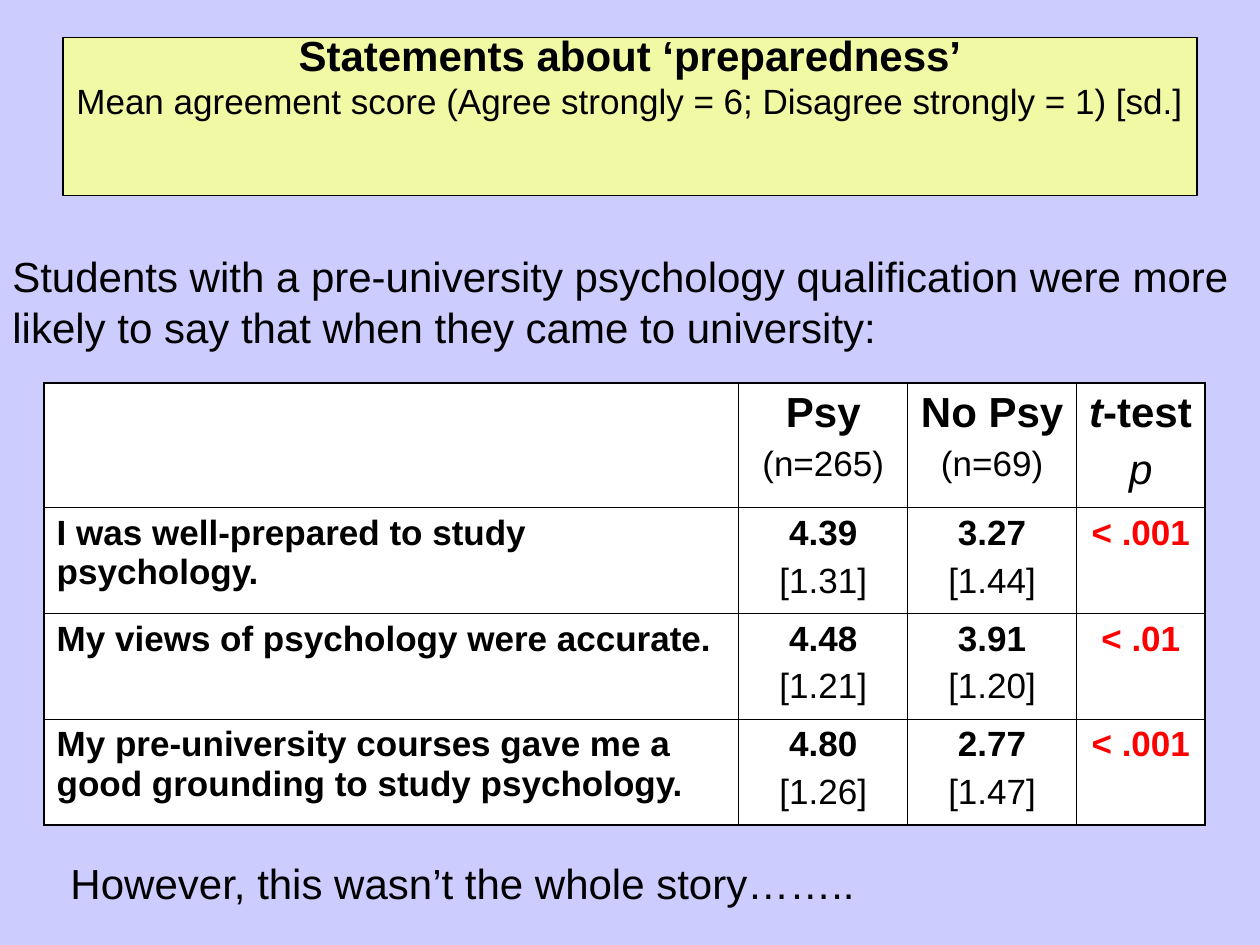
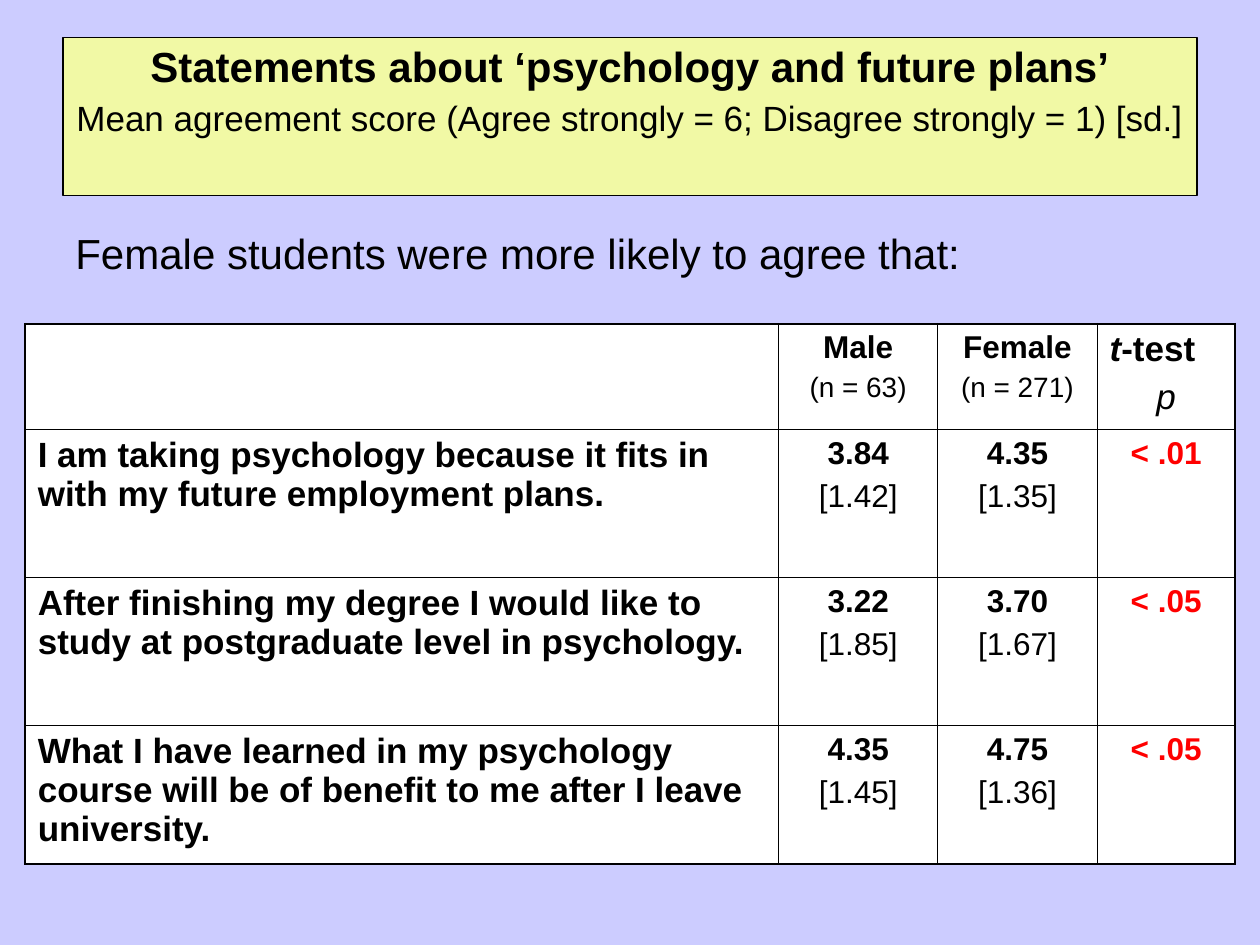
from lxml import etree
from pptx import Presentation
from pptx.dml.color import RGBColor
from pptx.enum import shapes, text
from pptx.oxml import ns
from pptx.util import Pt

FONT = "Arial"
BLACK, WHITE, RED = "000000", "FFFFFF", "FF0000"
LILAC, LEMON = "CCCCFF", "F1F9A5"
LEFT, MID = text.PP_ALIGN.LEFT, text.PP_ALIGN.CENTER
SCALE = "Mean agreement score (Agree strongly = 6; Disagree strongly = 1) [sd.]"


def color(code):
    return RGBColor.from_string(code)


def paint(fill, code):
    fill.solid()
    fill.fore_color.rgb = color(code)


def style(para, size, bold=False, ink=BLACK, align=LEFT):
    para.alignment = align
    font = para.font
    font.name, font.size, font.bold = FONT, Pt(size), bold
    font.color.rgb = color(ink)


def add_slide(deck):
    slide = deck.slides.add_slide(deck.slide_layouts[6])
    paint(slide.background.fill, LILAC)
    return slide


def add_title(slide, head, inset, gap):
    box = slide.shapes.add_shape(
        shapes.MSO_SHAPE.RECTANGLE, Pt(36), Pt(21.6), Pt(648), Pt(90))
    box.shadow.inherit = False
    paint(box.fill, LEMON)
    box.line.color.rgb = color(BLACK)
    box.line.width = Pt(0.75)
    frame = box.text_frame
    frame.word_wrap = True
    frame.vertical_anchor = text.MSO_ANCHOR.TOP
    frame.margin_left = frame.margin_right = frame.margin_bottom = 0
    frame.margin_top = Pt(inset)
    top, sub = frame.paragraphs[0], frame.add_paragraph()
    top.text, sub.text = head, SCALE
    style(top, 24, True, align=MID)
    style(sub, 20, align=MID)
    sub.space_before = Pt(gap)
    for para in (top, sub):
        para.line_spacing = Pt(24)


def add_note(slide, words, left, top, width, height):
    box = slide.shapes.add_textbox(Pt(left), Pt(top), Pt(width), Pt(height))
    frame = box.text_frame
    frame.word_wrap = True
    para = frame.paragraphs[0]
    para.text = words
    para.line_spacing = Pt(29)
    style(para, 24)


def set_edges(cell, sides):
    props = cell._tc.get_or_add_tcPr()
    for spot, (side, width) in enumerate(sides.items()):
        line = etree.Element(ns.qn("a:ln" + side), w=str(Pt(width)))
        fill = etree.SubElement(line, ns.qn("a:solidFill"))
        etree.SubElement(fill, ns.qn("a:srgbClr"), val=BLACK)
        props.insert(spot, line)


def fill_cell(cell, lines):
    frame = cell.text_frame
    for i, (words, size, bold, ink, align) in enumerate(lines):
        para = frame.add_paragraph() if i else frame.paragraphs[0]
        para.text = words
        style(para, size, bold, ink, align)
        if i:
            para.space_before = Pt(size / 4)


def add_test(cell, size):
    fill_cell(cell, [("", size, True, BLACK, LEFT),
                     ("p", size, False, BLACK, MID)])
    first, last = cell.text_frame.paragraphs
    for words, slant in (("t", True), ("-test", False)):
        run = first.add_run()
        run.text = words
        run.font.italic = slant
    last.font.italic = True


def add_scores(slide, left, top, cols, rows, groups, items, sizes):
    name, count, test, score = sizes
    grid = slide.shapes.add_table(
        len(rows), len(cols), Pt(left), Pt(top),
        Pt(sum(cols)), Pt(sum(rows))).table
    grid.first_row = grid.horz_banding = False
    for col, width in zip(grid.columns, cols):
        col.width = Pt(width)
    for row, height in zip(grid.rows, rows):
        row.height = Pt(height)

    for c, (group, total) in enumerate(groups, 1):
        fill_cell(grid.cell(0, c), [(group, name, True, BLACK, MID),
                                    (total, count, False, BLACK, MID)])
    add_test(grid.cell(0, 3), test)
    for r, (claim, *pairs, level) in enumerate(items, 1):
        fill_cell(grid.cell(r, 0), [(claim, 20, True, BLACK, LEFT)])
        for c, (mean, dev) in enumerate(pairs, 1):
            fill_cell(grid.cell(r, c), [(mean, score, True, BLACK, MID),
                                        (f"[{dev}]", score, False, BLACK, MID)])
        fill_cell(grid.cell(r, 3), [(level, score, True, RED, MID)])

    def edge(outer):
        return 1.08 if outer else 0.45

    for r in range(len(rows)):
        for c in range(len(cols)):
            cell = grid.cell(r, c)
            paint(cell.fill, WHITE)
            set_edges(cell, {"L": edge(c == 0), "R": edge(c == len(cols) - 1),
                             "T": edge(r == 0), "B": edge(r == len(rows) - 1)})


def main():
    deck = Presentation()
    deck.slide_width, deck.slide_height = Pt(720), Pt(540)

    slide = add_slide(deck)
    add_title(slide, "Statements about ‘preparedness’", 0, 0)
    add_note(slide, "However, this wasn’t the whole story……..",
             33.2, 486, 660, 40)
    add_note(slide, "Students with a pre-university psychology qualification "
             "were more likely to say that when they came to university:",
             0, 139.5, 720, 65)
    add_scores(
        slide, 25.2, 218.9, [397, 96.5, 96.5, 73.5], [71, 60.5, 60.5, 60.5],
        [("Psy", "(n=265)"), ("No Psy", "(n=69)")],
        [("I was well-prepared to study psychology.",
          ("4.39", "1.31"), ("3.27", "1.44"), "< .001"),
         ("My views of psychology were accurate.",
          ("4.48", "1.21"), ("3.91", "1.20"), "< .01"),
         ("My pre-university courses gave me a good grounding to study "
          "psychology.",
          ("4.80", "1.26"), ("2.77", "1.47"), "< .001")],
        (24, 20, 24, 20))

    slide = add_slide(deck)
    add_title(slide, "Statements about ‘psychology and future plans’", 6.4, 3)
    add_note(slide, "Female students were more likely to agree that:",
             36, 126, 659, 42)
    add_scores(
        slide, 14.4, 185, [430.5, 91, 91, 79], [60.5, 84.5, 84.5, 79],
        [("Male", "(n = 63)"), ("Female", "(n = 271)")],
        [("I am taking psychology because it fits in with my future "
          "employment plans.",
          ("3.84", "1.42"), ("4.35", "1.35"), "< .01"),
         ("After finishing my degree I would like to study at postgraduate "
          "level in psychology.",
          ("3.22", "1.85"), ("3.70", "1.67"), "< .05"),
         ("What I have learned in my psychology course will be of benefit "
          "to me after I leave university.",
          ("4.35", "1.45"), ("4.75", "1.36"), "< .05")],
        (18, 16, 20, 18))

    deck.save("out.pptx")


if __name__ == "__main__":
    main()
